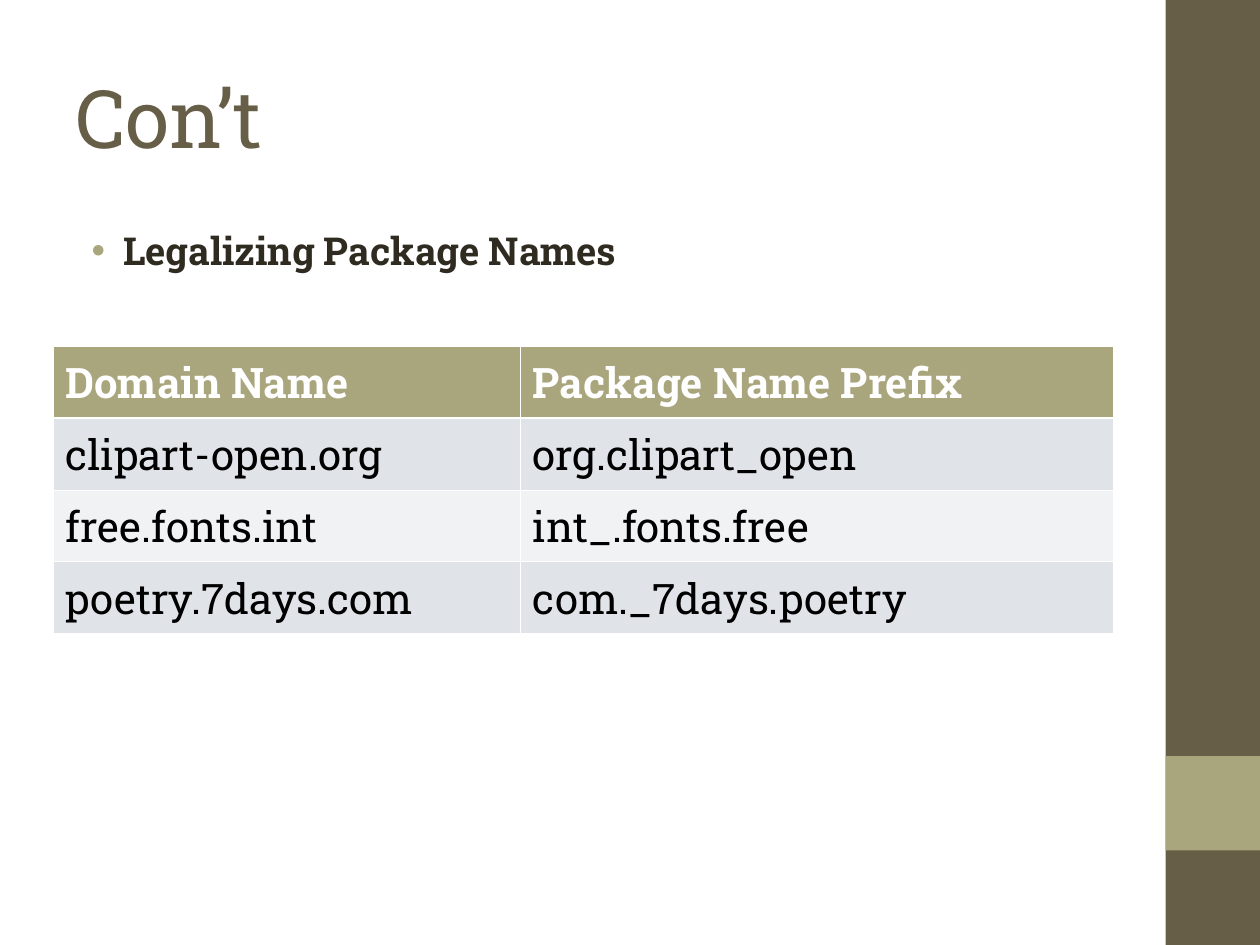
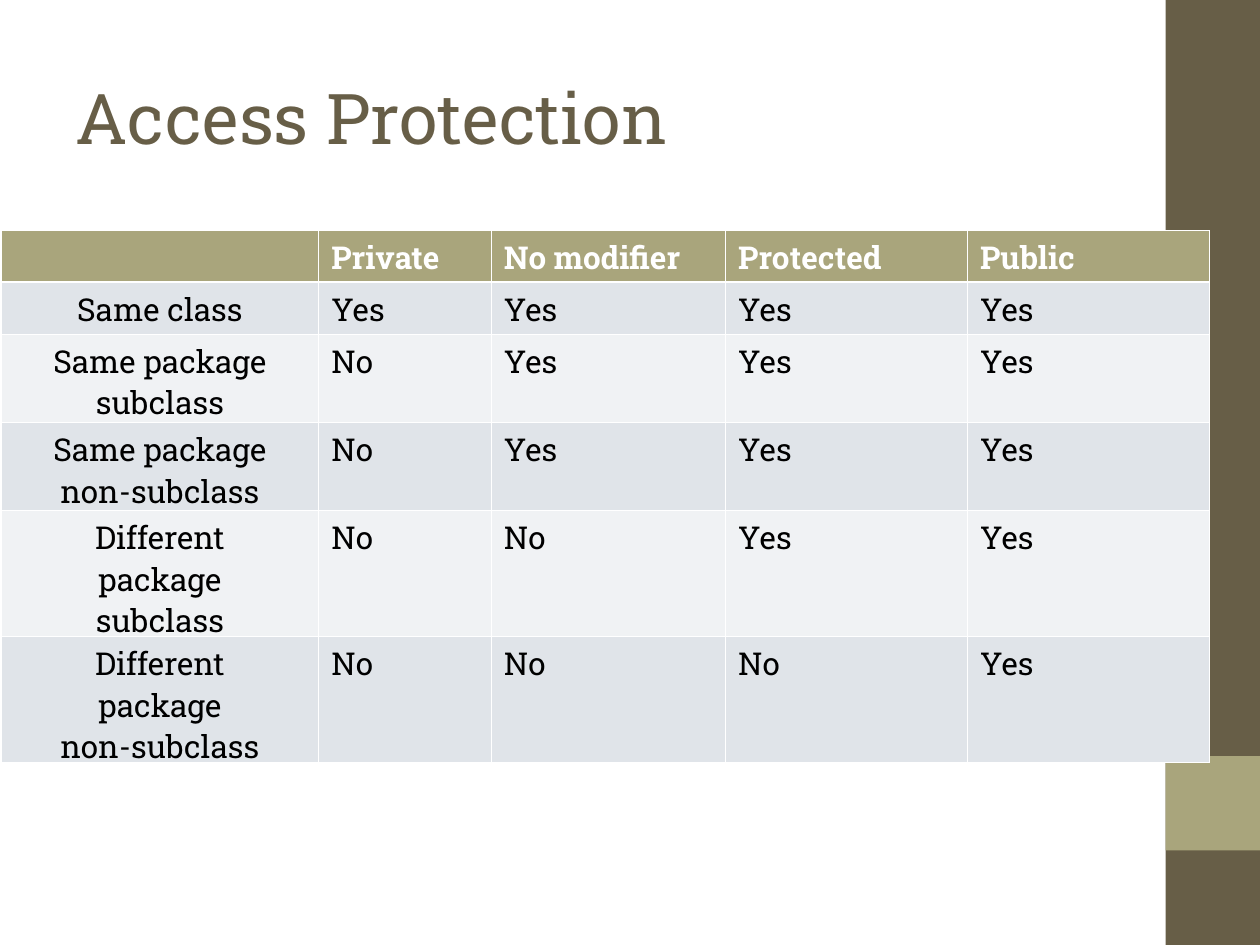
from lxml.etree import SubElement
from pptx import Presentation
from pptx.dml.color import RGBColor
from pptx.enum.shapes import MSO_SHAPE as Shape
from pptx.enum.text import MSO_ANCHOR as Anchor, PP_ALIGN as Align
from pptx.oxml.ns import qn
from pptx.util import Inches, Pt

# Content
SLIDES = [
    {
        "title": "Con’t", "title_size": 46,
        "bullet": "Legalizing Package Names",
        "table": {
            "rows": [
                ("Domain Name", "Package Name Prefix"),
                ("clipart-open.org", "org.clipart_open"),
                ("free.fonts.int", "int_.fonts.free"),
                ("poetry.7days.com", "com._7days.poetry"),
            ],
            "corner": (0.42, 2.75), "columns": (3.71, 4.71),
            "line_height": 0.45, "size": 24, "anchor": Anchor.MIDDLE,
            "first_align": Align.JUSTIFY, "align": Align.JUSTIFY,
        },
    },
    {
        "title": "Access Protection", "title_size": 40,
        "table": {
            "rows": [
                ("", "Private", "No modifier", "Protected", "Public"),
                ("Same class", "Yes", "Yes", "Yes", "Yes"),
                ("Same package\nsubclass", "No", "Yes", "Yes", "Yes"),
                ("Same package\nnon-subclass", "No", "Yes", "Yes", "Yes"),
                ("Different\npackage\nsubclass", "No", "No", "Yes", "Yes"),
                ("Different\npackage\nnon-subclass", "No", "No", "No", "Yes"),
            ],
            "corner": (0.01, 1.83), "columns": (2.52, 1.37, 1.86, 1.92, 1.92),
            "line_height": 0.29, "size": 18, "anchor": Anchor.TOP,
            "first_align": Align.CENTER, "align": Align.LEFT,
        },
    },
]

# Shared look
COLOURS = {"band": "675E47", "accent": "A9A57C", "body": "2F2B20",
           "cell": "000000", "white": "FFFFFF", "odd": "E0E4E9", "even": "F0F2F4"}
FONT = "Roboto Slab"
WIDTH, HEIGHT = 10, 7.5
BAND = 0.75
MARGIN, TEXT_WIDTH = 0.5, 8.33
ROW_PADDING = 0.12
THIN, THICK = 0.45, 1.47


def colour(name):
    return RGBColor.from_string(COLOURS[name])


def style(paragraph, size, ink, bold=False):
    for key, value in {"name": FONT, "size": Pt(size), "bold": bold}.items():
        setattr(paragraph.font, key, value)
    paragraph.font.color.rgb = colour(ink)


def add_band(slide, top, height, fill):
    band = slide.shapes.add_shape(Shape.RECTANGLE, Inches(WIDTH - BAND), Inches(top),
                                  Inches(BAND), Inches(height))
    band.shadow.inherit = False
    band.fill.solid()
    band.fill.fore_color.rgb = colour(fill)
    band.line.fill.background()


def add_text(slide, text, top, height, anchor):
    frame = slide.shapes.add_textbox(Inches(MARGIN), Inches(top), Inches(TEXT_WIDTH),
                                     Inches(height)).text_frame
    for key, value in {"word_wrap": True, "vertical_anchor": anchor, "text": text}.items():
        setattr(frame, key, value)
    return frame.paragraphs[0]


def add_bullet(slide, text):
    paragraph = add_text(slide, text, 1.75, 5.25, Anchor.TOP)
    layout = paragraph._p.get_or_add_pPr()
    layout.set("marL", str(Inches(0.38)))
    layout.set("indent", str(Inches(-0.25)))
    SubElement(SubElement(layout, qn("a:buClr")), qn("a:srgbClr"), val=COLOURS["accent"])
    SubElement(layout, qn("a:buFont"), typeface="Arial")
    SubElement(layout, qn("a:buChar"), char="•")
    style(paragraph, 22, "body", bold=True)


def add_borders(cell, row):
    widths = {"L": THIN, "R": THIN, "T": THICK if row == 1 else THIN,
              "B": THICK if row == 0 else THIN}
    for side, width in widths.items():
        line = SubElement(cell._tc.get_or_add_tcPr(), qn(f"a:ln{side}"), w=str(Pt(width)))
        SubElement(SubElement(line, qn("a:solidFill")), qn("a:srgbClr"), val=COLOURS["white"])


def add_grid(slide, spec):
    rows, columns = spec["rows"], spec["columns"]
    # Each row is as tall as its first cell has lines
    heights = [ROW_PADDING + spec["line_height"] * (row[0].count("\n") + 1) for row in rows]
    box = [Inches(n) for n in (*spec["corner"], sum(columns), sum(heights))]
    grid = slide.shapes.add_table(len(rows), len(columns), *box).table
    for column, width in zip(grid.columns, columns):
        column.width = Inches(width)
    for r, (labels, height) in enumerate(zip(rows, heights)):
        grid.rows[r].height = Inches(height)
        fill = "accent" if r == 0 else "odd" if r % 2 else "even"
        for c, label in enumerate(labels):
            cell = grid.cell(r, c)
            cell.text = label
            cell.vertical_anchor = spec["anchor"]
            add_borders(cell, r)
            cell.fill.solid()
            cell.fill.fore_color.rgb = colour(fill)
            for paragraph in cell.text_frame.paragraphs:
                paragraph.alignment = spec["align" if c else "first_align"]
                style(paragraph, spec["size"], "cell" if r else "white", bold=r == 0)


def main():
    deck = Presentation()
    deck.slide_width, deck.slide_height = Inches(WIDTH), Inches(HEIGHT)
    for content in SLIDES:
        slide = deck.slides.add_slide(deck.slide_layouts[6])
        # Side band and its accent square
        add_band(slide, 0, HEIGHT, "band")
        add_band(slide, HEIGHT - 2 * BAND, BAND, "accent")
        # Title, bullet and table
        title = add_text(slide, content["title"], 0.3, 1.25, Anchor.MIDDLE)
        style(title, content["title_size"], "band")
        if "bullet" in content:
            add_bullet(slide, content["bullet"])
        add_grid(slide, content["table"])
    deck.save("out.pptx")


if __name__ == "__main__":
    main()
